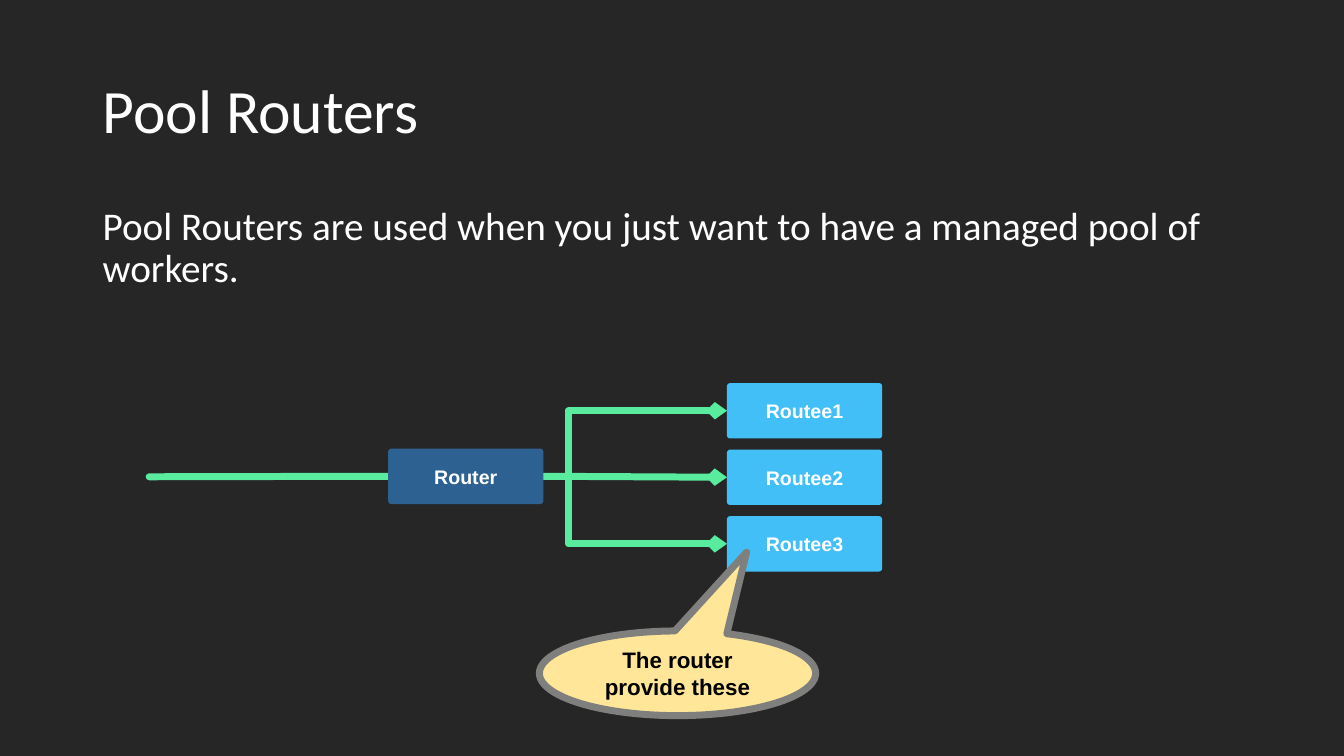
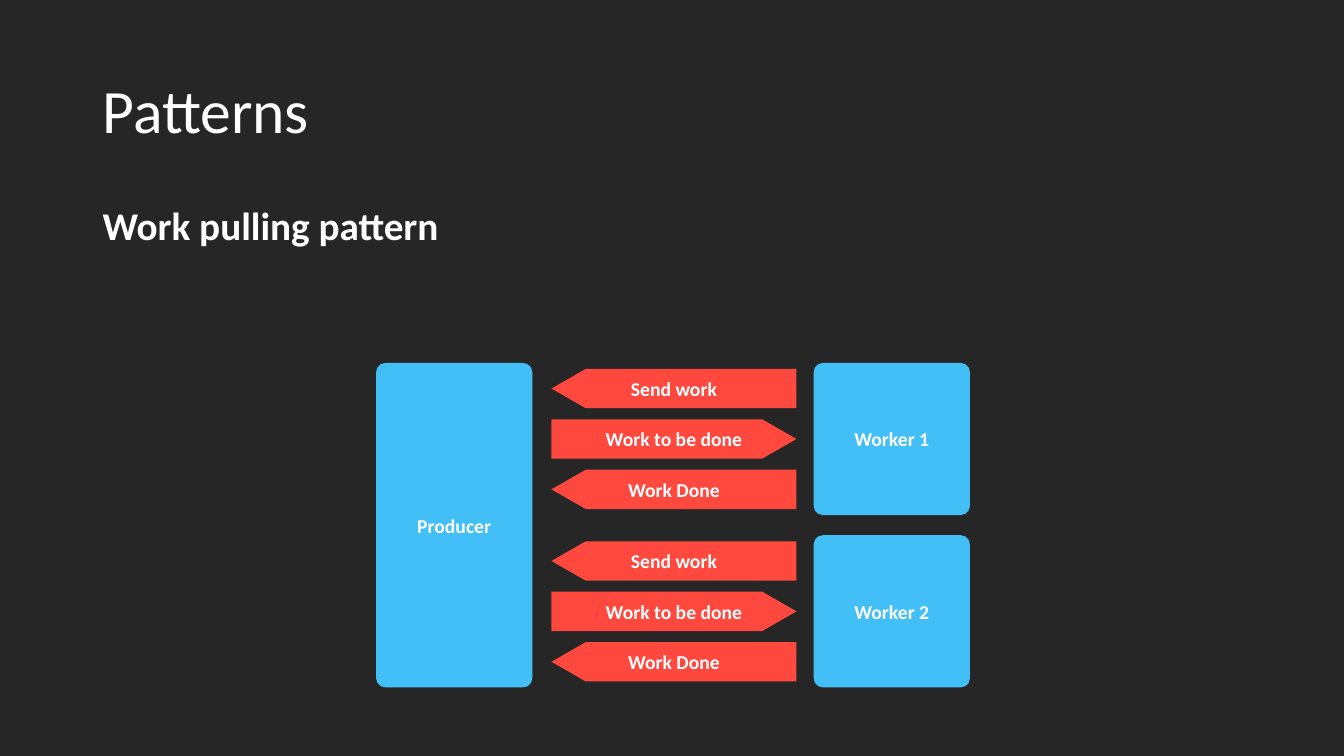
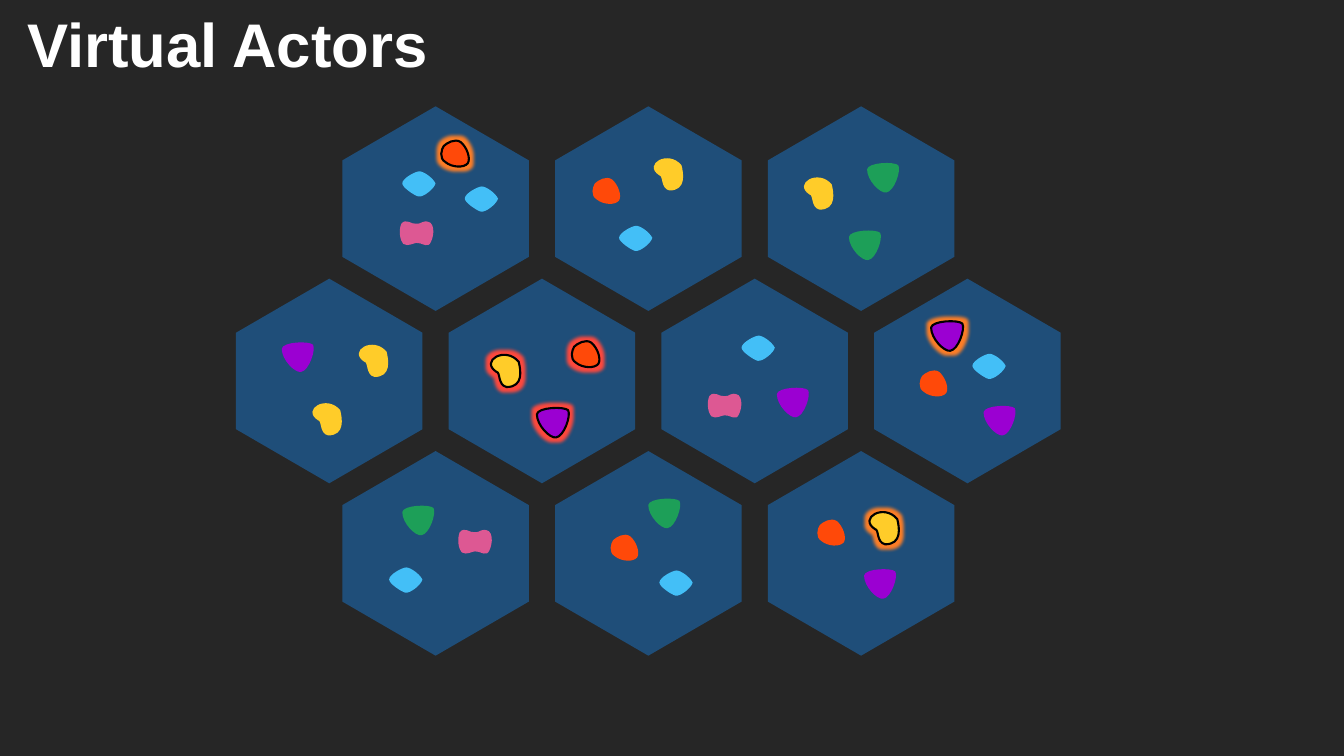
from dataclasses import dataclass
from typing import Any, Optional, Sequence

from lxml.etree import SubElement
from pptx import Presentation
from pptx.dml.color import RGBColor
from pptx.enum.shapes import MSO_CONNECTOR as Link, MSO_SHAPE as Preset
from pptx.enum.text import MSO_ANCHOR as Anchor, PP_ALIGN as Align
from pptx.oxml.ns import qn
from pptx.util import Inches, Pt

BACKDROP = RGBColor(0x26, 0x26, 0x26)
WHITE = RGBColor(0xFF, 0xFF, 0xFF)
BLACK = RGBColor(0, 0, 0)
SKY = RGBColor(0x43, 0xBF, 0xF7)
STEEL = RGBColor(0x2C, 0x61, 0x91)
NAVY = RGBColor(0x1F, 0x4E, 0x79)
MINT = RGBColor(0x59, 0xEC, 0x9F)
CORAL = RGBColor(0xFF, 0x49, 0x3E)
CREAM = RGBColor(0xFF, 0xE6, 0x99)
GREY = RGBColor(0x7F, 0x80, 0x7D)
YELLOW = RGBColor(0xFF, 0xCC, 0x29)
ORANGE = RGBColor(0xFF, 0x49, 0x09)
GREEN = RGBColor(0x1D, 0x9F, 0x58)
PURPLE = RGBColor(0x9B, 0x00, 0xD2)
PINK = RGBColor(0xDD, 0x58, 0x93)
AMBER = RGBColor(0xFF, 0x7F, 0x27)

TITLE = {"name": "Calibri", "size": Pt(44), "bold": False}
BODY = {"name": "Calibri", "size": Pt(28), "bold": False}
HEADING = {**BODY, "bold": True}
BANNER = {"name": "Arial", "size": Pt(44), "bold": True}
NODE = {"name": "Arial", "size": Pt(14), "bold": True}
NOTE = {**NODE, "size": Pt(16)}
STEP = {**NODE, "name": "Calibri"}

Point = tuple[float, float]


@dataclass(frozen=True)
class Box:
    left: float
    top: float
    width: float
    height: float

    def emu(self) -> list[int]:
        return [Inches(v) for v in (self.left, self.top, self.width, self.height)]


@dataclass(frozen=True)
class Species:
    """Actor outline: a start point, then cubic curves as triples of points."""
    fill: RGBColor
    points: tuple[Point, ...]


@dataclass(frozen=True)
class Actor:
    species: Species
    dx: float
    dy: float
    glow: Optional[RGBColor] = None


TITLE_BOX = Box(0.92, 0.4, 11.5, 1.45)
BODY_BOX = Box(0.92, 2, 11.5, 4.76)

BEAN = Species(YELLOW, (
    (0.06, 0.15), (-0.11, 0.04), (0.15, -0.11), (0.28, 0.05), (0.3, 0.13),
    (0.33, 0.3), (0.16, 0.3), (0.07, 0.28), (0.1, 0.15), (0.06, 0.15)))
PEBBLE = Species(ORANGE, (
    (0.02, 0.04), (0.05, 0.01), (0.13, -0.04), (0.19, 0), (0.25, 0.05),
    (0.29, 0.16), (0.26, 0.21), (0.22, 0.26), (0.1, 0.25), (0.04, 0.2),
    (-0.03, 0.16), (0, 0.07), (0.02, 0.04)))
LENS = Species(SKY, (
    (-0.03, 0.13), (-0.03, 0.08), (0.1, 0.01), (0.14, 0.01), (0.18, 0.01),
    (0.27, 0.07), (0.3, 0.13), (0.29, 0.18), (0.18, 0.27), (0.13, 0.26),
    (0.09, 0.25), (-0.03, 0.17), (-0.03, 0.13)))
GREEN_SHIELD = Species(GREEN, (
    (0.3, 0.02), (0.33, 0.07), (0.26, 0.28), (0.18, 0.29), (0.12, 0.3),
    (-0.01, 0.17), (-0.01, 0.06), (0, -0.01), (0.26, -0.02), (0.3, 0.02)))
PURPLE_SHIELD = Species(PURPLE, GREEN_SHIELD.points)
BONE = Species(PINK, (
    (0.12, 0.26), (0.09, 0.26), (0.04, 0.3), (-0.01, 0.27), (-0.04, 0.24),
    (-0.06, 0.14), (-0.03, 0.07), (0.02, 0.01), (0.07, 0.08), (0.12, 0.07),
    (0.17, 0.08), (0.18, 0.02), (0.26, 0.06), (0.32, 0.12), (0.27, 0.27),
    (0.24, 0.28), (0.19, 0.29), (0.18, 0.26), (0.12, 0.26)))

# Rows of hexagons; actors are offset from the centre of their hexagon.
CLUSTER = (
    ((Actor(PEBBLE, 0.06, -0.66, AMBER), Actor(LENS, -0.3, -0.38),
      Actor(LENS, 0.32, -0.23), Actor(BONE, -0.31, 0.08)),
     (Actor(PEBBLE, -0.55, -0.29), Actor(BEAN, 0.05, -0.48), Actor(LENS, -0.26, 0.16)),
     (Actor(BEAN, -0.57, -0.29), Actor(GREEN_SHIELD, 0.07, -0.45),
      Actor(GREEN_SHIELD, -0.11, 0.22))),
    ((Actor(PURPLE_SHIELD, -0.46, -0.38), Actor(BEAN, 0.29, -0.34),
      Actor(BEAN, -0.17, 0.24)),
     (Actor(BEAN, -0.51, -0.24, CORAL), Actor(PEBBLE, 0.3, -0.38, CORAL),
      Actor(PURPLE_SHIELD, -0.04, 0.27, CORAL)),
     (Actor(LENS, -0.1, -0.46), Actor(BONE, -0.42, 0.08),
      Actor(PURPLE_SHIELD, 0.23, 0.07)),
     (Actor(PURPLE_SHIELD, -0.35, -0.59, AMBER), Actor(LENS, 0.08, -0.28),
      Actor(PEBBLE, -0.47, -0.09), Actor(PURPLE_SHIELD, 0.17, 0.25))),
    ((Actor(GREEN_SHIELD, -0.32, -0.47), Actor(BONE, 0.27, -0.28),
      Actor(LENS, -0.43, 0.13)),
     (Actor(GREEN_SHIELD, 0.01, -0.54), Actor(PEBBLE, -0.37, -0.17),
      Actor(LENS, 0.14, 0.16)),
     (Actor(PEBBLE, -0.43, -0.32), Actor(BEAN, 0.08, -0.39, AMBER),
      Actor(PURPLE_SHIELD, 0.04, 0.16))),
)


def apply(target: Any, formats: dict[str, Any]) -> None:
    for attribute, value in formats.items():
        setattr(target, attribute, value)


def write(frame: Any, text: str, font: dict[str, Any], color: RGBColor = WHITE,
          **paragraph_format: Any) -> None:
    paragraph = frame.paragraphs[0]
    apply(paragraph, paragraph_format)
    run = paragraph.add_run()
    run.text = text
    apply(run.font, font)
    run.font.color.rgb = color


def add_text(slide: Any, box: Box, text: str, font: dict[str, Any],
             anchor: Anchor = Anchor.TOP, line_spacing: float = 0.9,
             inset: float = 0.1) -> None:
    frame = slide.shapes.add_textbox(*box.emu()).text_frame
    apply(frame, {"word_wrap": True, "vertical_anchor": anchor,
                  "margin_left": Inches(inset)})
    write(frame, text, font, line_spacing=line_spacing)


def paint(shape: Any, fill: RGBColor, line: Optional[RGBColor] = None,
          width: float = 0) -> None:
    shape.shadow.inherit = False
    shape.fill.solid()
    shape.fill.fore_color.rgb = fill
    if line is None:
        shape.line.fill.background()
    else:
        shape.line.color.rgb = line
        shape.line.width = Pt(width)


def label(shape: Any, text: str, font: dict[str, Any], color: RGBColor = WHITE) -> None:
    apply(shape.text_frame, {"word_wrap": True, "vertical_anchor": Anchor.MIDDLE})
    write(shape.text_frame, text, font, color, alignment=Align.CENTER)


def add_node(slide: Any, box: Box, text: str, fill: RGBColor, font: dict[str, Any]) -> Any:
    node = slide.shapes.add_shape(Preset.ROUNDED_RECTANGLE, *box.emu())
    node.adjustments[0] = 0.06
    paint(node, fill)
    label(node, text, font)
    return node


def add_outline(slide: Any, points: Sequence[Point]) -> Any:
    corners = [(Inches(x), Inches(y)) for x, y in points]
    builder = slide.shapes.build_freeform(*corners[0])
    builder.add_line_segments(corners[1:], close=True)
    return builder.convert_to_shape()


def add_flow(slide: Any, kind: Link, start: Point, target: Any, side: int,
             source: Any = None, arrow: bool = True) -> None:
    """Draw a thick line behind the nodes, ending at a side of the target."""
    x, y = (Inches(v) for v in start)
    flow = slide.shapes.add_connector(kind, x, y, x, y)
    if source is not None:
        flow.begin_connect(source, 3)
    flow.end_connect(target, side)
    flow.line.color.rgb = MINT
    flow.line.width = Pt(5)
    properties = flow._element.spPr
    if kind == Link.ELBOW:
        geometry = properties.find(qn("a:prstGeom"))
        values = geometry.find(qn("a:avLst"))
        if values is None:
            values = SubElement(geometry, qn("a:avLst"))
        SubElement(values, qn("a:gd"), name="adj1", fmla="val 13500")
    line = properties.find(qn("a:ln"))
    line.set("cap", "rnd")
    SubElement(line, qn("a:round"))
    if arrow:
        SubElement(line, qn("a:tailEnd"), type="arrow", w="sm", len="sm")
    SubElement(properties, qn("a:effectLst"))
    slide.shapes._spTree.insert(2, flow._element)


def add_titled_slide(deck: Any, title: str, body: str, body_font: dict[str, Any]) -> Any:
    slide = deck.slides.add_slide(deck.slide_layouts[6])
    add_text(slide, TITLE_BOX, title, TITLE, Anchor.MIDDLE)
    add_text(slide, BODY_BOX, body, body_font)
    return slide


def build_pool_routers(deck: Any) -> None:
    slide = add_titled_slide(
        deck, "Pool Routers",
        "Pool Routers are used when you just want to have a managed pool of workers.", BODY)
    width, height, pitch = 1.54, 0.55, 0.66
    router = add_node(slide, Box(3.85, 4.45, width, height), "Router", STEEL, NODE)
    for row, kind in enumerate((Link.ELBOW, Link.STRAIGHT, Link.ELBOW)):
        routee = add_node(slide, Box(7.21, 3.8 + row * pitch, width, height),
                          f"Routee{row + 1}", SKY, NODE)
        add_flow(slide, kind, (5.39, 4.73), routee, 1, source=router)
    add_flow(slide, Link.STRAIGHT, (1.48, 4.73), router, 1, arrow=False)

    callout = slide.shapes.add_shape(Preset.OVAL_CALLOUT, *Box(5.35, 6.26, 2.74, 0.84).emu())
    callout.adjustments[0], callout.adjustments[1] = 0.25, -1.43
    paint(callout, CREAM, GREY, 5)
    label(callout, "The router provide these", NOTE, BLACK)


def add_message(slide: Any, box: Box, text: str, to_worker: bool) -> None:
    tip = 0.34
    right, bottom = box.left + box.width, box.top + box.height
    back, neck, point = ((box.left, right - tip, right) if to_worker
                         else (right, box.left + tip, box.left))
    message = add_outline(slide, (
        (back, box.top), (neck, box.top), (point, box.top + box.height / 2),
        (neck, bottom), (back, bottom)))
    paint(message, CORAL)
    label(message, text, STEP)


def build_patterns(deck: Any) -> None:
    slide = add_titled_slide(deck, "Patterns", "Work pulling pattern", HEADING)
    top, pitch, width, height = 3.6, 1.71, 1.55, 1.51
    add_node(slide, Box(3.73, top, width, pitch + height), "Producer", SKY, STEP)
    messages = (("Send work", False), ("Work to be done", True), ("Work Done", False))
    for band in range(2):
        band_top = top + band * pitch
        add_node(slide, Box(8.07, band_top, width, height), f"Worker {band + 1}", SKY, STEP)
        for step, (text, to_worker) in enumerate(messages):
            add_message(slide, Box(5.47, band_top + 0.06 + step * 0.5, 2.43, 0.39),
                        text, to_worker)


def curve(shape: Any) -> None:
    """Turn each three line segments of an outline into one cubic curve."""
    segments = list(shape._element.iter(qn("a:lnTo")))
    for first in range(0, len(segments), 3):
        triple = segments[first:first + 3]
        bezier = triple[0].makeelement(qn("a:cubicBezTo"))
        triple[0].addprevious(bezier)
        for segment in triple:
            bezier.append(segment[0])
            segment.getparent().remove(segment)


def add_actor(slide: Any, actor: Actor, x: float, y: float) -> None:
    blob = add_outline(slide, [(x + actor.dx + px, y + actor.dy + py)
                               for px, py in actor.species.points])
    curve(blob)
    paint(blob, actor.species.fill, BLACK if actor.glow else None, 1.5)
    if actor.glow:
        effects = blob._element.spPr.find(qn("a:effectLst"))
        glow = SubElement(effects, qn("a:glow"), rad=str(int(Pt(5))))
        SubElement(glow, qn("a:srgbClr"), val=str(actor.glow))


def build_virtual_actors(deck: Any) -> None:
    slide = deck.slides.add_slide(deck.slide_layouts[6])
    column_pitch, row_pitch, width, height = 2.11, 1.71, 2.03, 1.85
    for row, hexagons in enumerate(CLUSTER):
        y = 2.07 + row * row_pitch
        for column, actors in enumerate(hexagons):
            x = 6.43 + (column - (len(hexagons) - 1) / 2) * column_pitch
            host = slide.shapes.add_shape(
                Preset.HEXAGON, *Box(x - width / 2, y - height / 2, width, height).emu())
            host.rotation = 90
            host.adjustments[0] = 0.29
            paint(host, NAVY)
            for actor in actors:
                add_actor(slide, actor, x, y)
    add_text(slide, Box(0, 0.01, 13.33, 0.84), "Virtual Actors", BANNER,
             line_spacing=1.0, inset=0.27)


def main() -> None:
    deck = Presentation()
    deck.slide_width, deck.slide_height = Inches(13.33), Inches(7.5)
    backdrop = deck.slide_master.background.fill
    backdrop.solid()
    backdrop.fore_color.rgb = BACKDROP
    for build in (build_pool_routers, build_patterns, build_virtual_actors):
        build(deck)
    deck.save("out.pptx")


if __name__ == "__main__":
    main()
